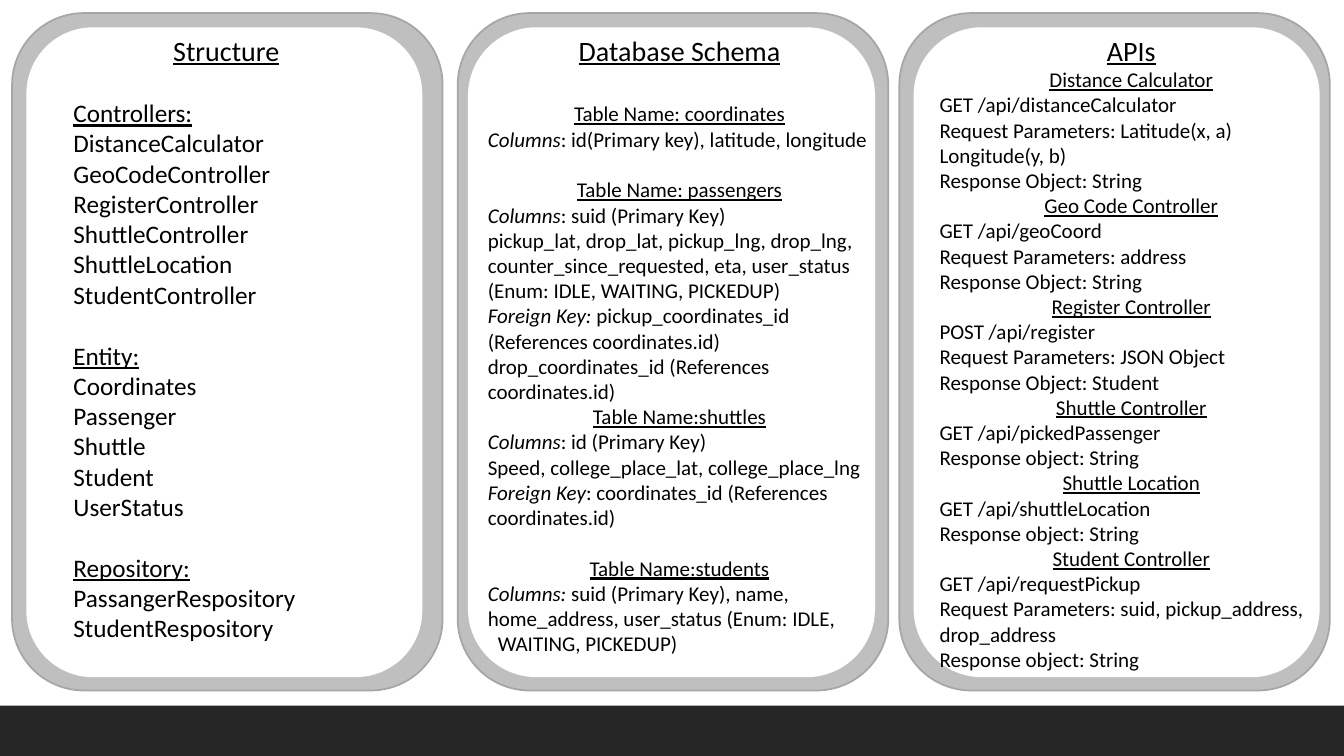
from pptx import Presentation
from pptx import util as u
from pptx.dml.color import RGBColor
from pptx.enum import shapes, text

# Content: (title, [(group heading, blank lines' height above it in points, lines)])
# A line is plain text, or (italic label, rest of the line).
STRUCTURE = ("Structure", [
    ("Controllers:", 22, ["DistanceCalculator", "GeoCodeController", "RegisterController",
                          "ShuttleController", "ShuttleLocation", "StudentController"]),
    ("Entity:", 22, ["Coordinates", "Passenger", "Shuttle", "Student", "UserStatus"]),
    ("Repository:", 22, ["PassangerRespository", "StudentRespository"]),
])
ENUM_END = "WAITING, PICKEDUP)"
SCHEMA = ("Database Schema", [
    ("Table Name: coordinates", 24.4, [
        ("Columns", ": id(Primary key), latitude, longitude")]),
    ("Table Name: passengers", 18.3, [
        ("Columns", ": suid (Primary Key)"),
        "pickup_lat, drop_lat, pickup_lng, drop_lng,",
        "counter_since_requested, eta, user_status (Enum: IDLE, WAITING, PICKEDUP)",
        ("Foreign Key: ", "pickup_coordinates_id (References coordinates.id)"),
        "drop_coordinates_id (References coordinates.id)"]),
    ("Table Name:shuttles", 0, [
        ("Columns", ": id (Primary Key)"),
        "Speed, college_place_lat, college_place_lng",
        ("Foreign Key", ": coordinates_id (References coordinates.id)")]),
    ("Table Name:students", 18.3, [
        ("Columns: ", "suid (Primary Key), name, home_address, user_status (Enum: IDLE,"),
        ENUM_END]),
])
APIS = ("APIs", [
    ("Distance Calculator", 0, [
        "GET /api/distanceCalculator",
        "Request Parameters: Latitude(x, a) Longitude(y, b)",
        "Response Object: String"]),
    ("Geo Code Controller", 0, [
        "GET /api/geoCoord", "Request Parameters: address", "Response Object: String"]),
    ("Register Controller", 0, [
        "POST /api/register", "Request Parameters: JSON Object", "Response Object: Student"]),
    ("Shuttle Controller", 0, ["GET /api/pickedPassenger", "Response object: String"]),
    ("Shuttle Location", 0, ["GET /api/shuttleLocation", "Response object: String"]),
    ("Student Controller", 0, [
        "GET /api/requestPickup",
        "Request Parameters: suid, pickup_address, drop_address",
        "Response object: String"]),
])

# Layout in inches: content, frame left, panel (left, width), text (left, width), size, group alignment
LEFT, CENTER = text.PP_ALIGN.LEFT, text.PP_ALIGN.CENTER
COLUMNS = [
    (STRUCTURE, 0.12, (0.27, 3.91), (0.63, 3.23), 18, LEFT),
    (SCHEMA, 4.54, (4.65, 4.02), (4.74, 4), 15, CENTER),
    (APIS, 8.92, (9.07, 4.01), (9.22, 4), 15, CENTER),
]
WIDTH, HEIGHT = 13.33, 7.5
FRAME_TOP, FRAME_WIDTH, FRAME_HEIGHT = 0.13, 4.27, 6.72
PANEL_TOP, PANEL_HEIGHT = 0.28, 6.43
FOOTER_HEIGHT = 0.5
TITLE_SIZE = 20


def color(value):
    return RGBColor.from_string(value)


def add_box(slide, kind, left, top, width, height, fill, line=None):
    shape = slide.shapes.add_shape(kind, *map(u.Inches, (left, top, width, height)))
    shape.shadow.inherit = False
    shape.fill.solid()
    shape.fill.fore_color.rgb = color(fill)
    if line:
        shape.line.color.rgb = color(line)
        shape.line.width = u.Pt(1.25)
    else:
        shape.line.fill.background()


def add_run(paragraph, words, size, underline=False, italic=False):
    run = paragraph.add_run()
    run.text = words
    font = run.font
    font.name, font.size = "Calibri", u.Pt(size)
    font.underline, font.italic = underline, italic
    font.color.rgb = color("000000")


def add_content(slide, content, left, width, size, group_alignment):
    title, groups = content
    box = slide.shapes.add_textbox(*map(u.Inches, (left, PANEL_TOP, width, PANEL_HEIGHT)))
    frame = box.text_frame
    frame.word_wrap = True
    paragraph = frame.paragraphs[0]
    paragraph.alignment = CENTER
    add_run(paragraph, title, TITLE_SIZE, underline=True)
    for heading, gap, lines in groups:
        paragraph = frame.add_paragraph()
        paragraph.alignment = group_alignment
        paragraph.space_before = u.Pt(gap)
        add_run(paragraph, heading, size, underline=True)
        for line in lines:
            paragraph = frame.add_paragraph()
            paragraph.alignment = LEFT
            label, rest = line if isinstance(line, tuple) else ("", line)
            if label:
                add_run(paragraph, label, size, italic=True)
            add_run(paragraph, rest, size)
            if line == ENUM_END:  # continuation of the line above, slightly indented
                paragraph._p.get_or_add_pPr().set("marL", str(u.Inches(0.1)))


def main():
    presentation = Presentation()
    presentation.slide_width, presentation.slide_height = u.Inches(WIDTH), u.Inches(HEIGHT)
    slide = presentation.slides.add_slide(presentation.slide_layouts[6])

    # Footer band
    add_box(slide, shapes.MSO_SHAPE.RECTANGLE, 0, HEIGHT - FOOTER_HEIGHT,
            WIDTH, FOOTER_HEIGHT, "262626")

    # Three framed columns
    rounded = shapes.MSO_SHAPE.ROUNDED_RECTANGLE
    for content, frame_left, panel, text_area, size, group_alignment in COLUMNS:
        add_box(slide, rounded, frame_left, FRAME_TOP, FRAME_WIDTH, FRAME_HEIGHT,
                "BFBFBF", "A6A6A6")
        add_box(slide, rounded, panel[0], PANEL_TOP, panel[1], PANEL_HEIGHT,
                "FFFFFF", "FFFFFF")
        add_content(slide, content, *text_area, size, group_alignment)

    presentation.save("out.pptx")


if __name__ == "__main__":
    main()
